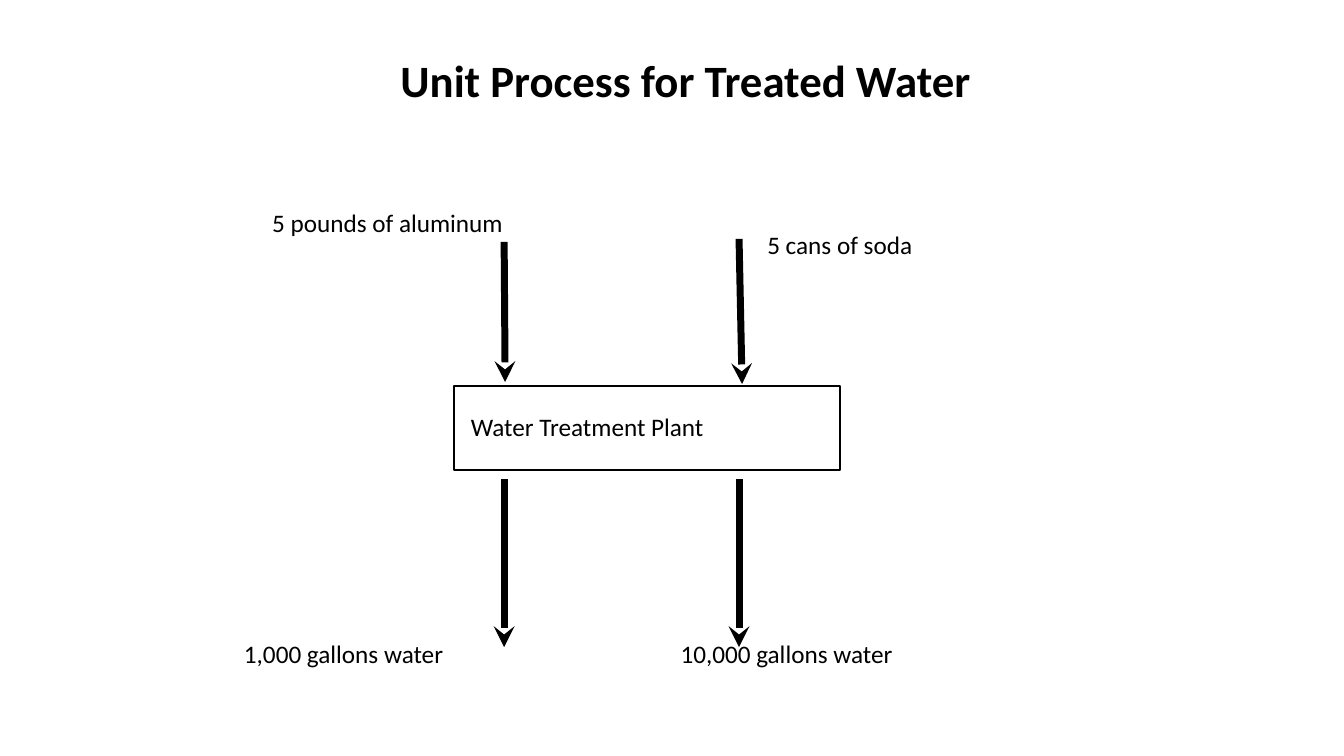
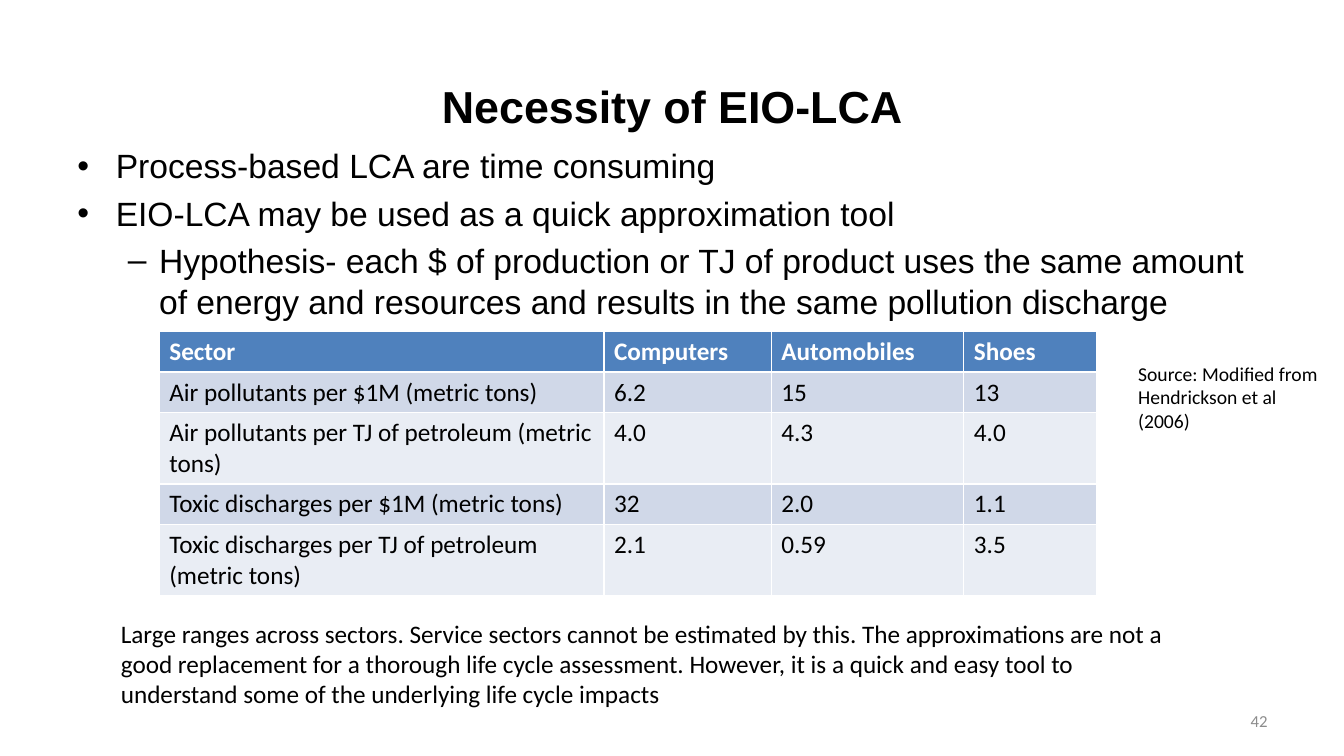
from lxml import etree
from pptx import Presentation
from pptx.dml.color import RGBColor
from pptx.enum.shapes import MSO_CONNECTOR as CONNECTOR, MSO_SHAPE as SHAPE
from pptx.enum.text import MSO_ANCHOR as ANCHOR, PP_ALIGN as ALIGN
from pptx.oxml.ns import qn
from pptx.util import Inches, Pt

BLACK = RGBColor(0x00, 0x00, 0x00)
WHITE = RGBColor(0xFF, 0xFF, 0xFF)
GRAY = RGBColor(0x8C, 0x8C, 0x8C)
HEADER_BLUE = RGBColor(0x4F, 0x81, 0xBD)
BANDS = [RGBColor(0xE9, 0xED, 0xF4), RGBColor(0xD0, 0xD8, 0xE8)]
TITLE = dict(size=32, bold=True, align=ALIGN.CENTER, anchor=ANCHOR.MIDDLE)


def write(p, text, size=18, font="Calibri", color=BLACK, bold=False, align=None):
    p.alignment = align
    r = p.add_run()
    r.text = text
    r.font.size = Pt(size)
    r.font.name = font
    r.font.bold = bold
    r.font.color.rgb = color


def add_text(s, box, text, anchor=ANCHOR.TOP, wrap=True, inset=True, **style):
    tf = s.shapes.add_textbox(*[Inches(v) for v in box]).text_frame
    tf.word_wrap = wrap
    tf.vertical_anchor = anchor
    if not inset:
        tf.margin_left = tf.margin_top = tf.margin_right = tf.margin_bottom = 0
    write(tf.paragraphs[0], text, **style)


prs = Presentation()
prs.slide_width, prs.slide_height = Inches(13.33), Inches(7.5)
blank = prs.slide_layouts[6]

# Slide 1: flow diagram
s = prs.slides.add_slide(blank)
add_text(s, (2.34, 0.25, 8.92, 1.08), "Unit Process for Treated Water", **TITLE)

flow_labels = [
    (4.67, 4.08, 2.33, "Water Treatment Plant"),
    (6.75, 6.33, 2.13, "10,000 gallons water"),
    (7.61, 2.28, 1.45, "5 cans of soda"),
    (2.42, 6.33, 2, "1,000 gallons water"),
    (2.7, 2.06, 2.32, "5 pounds of aluminum"),
]
for x, y, w, text in flow_labels:
    add_text(s, (x, y, w, 0.3), text, wrap=False, inset=False)

plant = s.shapes.add_shape(SHAPE.RECTANGLE, Inches(4.5), Inches(3.83), Inches(3.83), Inches(0.83))
plant.shadow.inherit = False
plant.fill.background()
plant.line.color.rgb = BLACK
plant.line.width = Pt(1.54)

arrows = [
    (5, 2.4, 5.01, 3.79),
    (7.33, 2.37, 7.36, 3.81),
    (7.33, 4.75, 7.33, 6.42),
    (5, 4.75, 5, 6.42),
]
for ends in arrows:
    arrow = s.shapes.add_connector(CONNECTOR.STRAIGHT, *[Inches(v) for v in ends])
    arrow.line.color.rgb = BLACK
    arrow.line.width = Pt(5)
    sp_pr = arrow.line._get_or_add_ln().getparent()
    etree.SubElement(sp_pr.find(qn("a:ln")), qn("a:tailEnd"), type="stealth")
    etree.SubElement(sp_pr, qn("a:effectLst"))

# Slide 2: bullets and table
s = prs.slides.add_slide(blank)
add_text(s, (0.67, 0.46, 12, 1.17), "Necessity of EIO-LCA", font="Arial", **TITLE)

bullets = [
    (0, "Process-based LCA are time consuming"),
    (0, "EIO-LCA may be used as a quick approximation tool"),
    (1, "Hypothesis- each $ of production or TJ of product uses the same amount "
        "of energy and resources and results in the same pollution discharge"),
]
bullet_styles = [("•", 0.38, -0.38), ("–", 0.81, -0.31)]
tf = s.shapes.add_textbox(Inches(0.67), Inches(1.39), Inches(12), Inches(3.39)).text_frame
tf.word_wrap = True
for i, (level, text) in enumerate(bullets):
    p = tf.add_paragraph() if i else tf.paragraphs[0]
    char, margin, indent = bullet_styles[level]
    p.level = level
    p_pr = p._p.get_or_add_pPr()
    p_pr.set("marL", str(Inches(margin)))
    p_pr.set("indent", str(Inches(indent)))
    etree.SubElement(p_pr, qn("a:buFont"), typeface="Arial")
    etree.SubElement(p_pr, qn("a:buChar"), char=char)
    p.line_spacing = Pt(29)
    p.space_before = Pt(4.8 if i else 0)
    write(p, text, size=24, font="Arial")

rows = [
    ("Sector", "Computers", "Automobiles", "Shoes"),
    ("Air pollutants per $1M (metric tons)", "6.2", "15", "13"),
    ("Air pollutants per TJ of petroleum (metric tons)", "4.0", "4.3", "4.0"),
    ("Toxic discharges per $1M (metric tons)", "32", "2.0", "1.1"),
    ("Toxic discharges per TJ of petroleum (metric tons)", "2.1", "0.59", "3.5"),
]
col_widths = [4.41, 1.66, 1.91, 1.32]
row_heights = [0.4, 0.4, 0.71, 0.4, 0.71]
table = s.shapes.add_table(len(rows), len(col_widths), Inches(1.58), Inches(3.29),
                           Inches(sum(col_widths)), Inches(sum(row_heights))).table
for col, width in zip(table.columns, col_widths):
    col.width = Inches(width)
for i, (values, height) in enumerate(zip(rows, row_heights)):
    table.rows[i].height = Inches(height)
    header = i == 0
    for j, value in enumerate(values):
        cell = table.cell(i, j)
        cell.fill.solid()
        cell.fill.fore_color.rgb = HEADER_BLUE if header else BANDS[i % 2]
        write(cell.text_frame.paragraphs[0], value, bold=header, color=WHITE if header else BLACK)

add_text(s, (1.1, 6.08, 10.78, 1.01),
         "Large ranges across sectors. Service sectors cannot be estimated by this. "
         "The approximations are not a good replacement for a thorough life cycle assessment. "
         "However, it is a quick and easy tool to understand some of the underlying life cycle impacts")
add_text(s, (11.19, 3.54, 2.04, 0.81), "Source: Modified from Hendrickson et al (2006)", size=14)
add_text(s, (9.56, 6.95, 3.11, 0.4), "42", size=12, color=GRAY, align=ALIGN.RIGHT, anchor=ANCHOR.MIDDLE)

prs.save("out.pptx")
